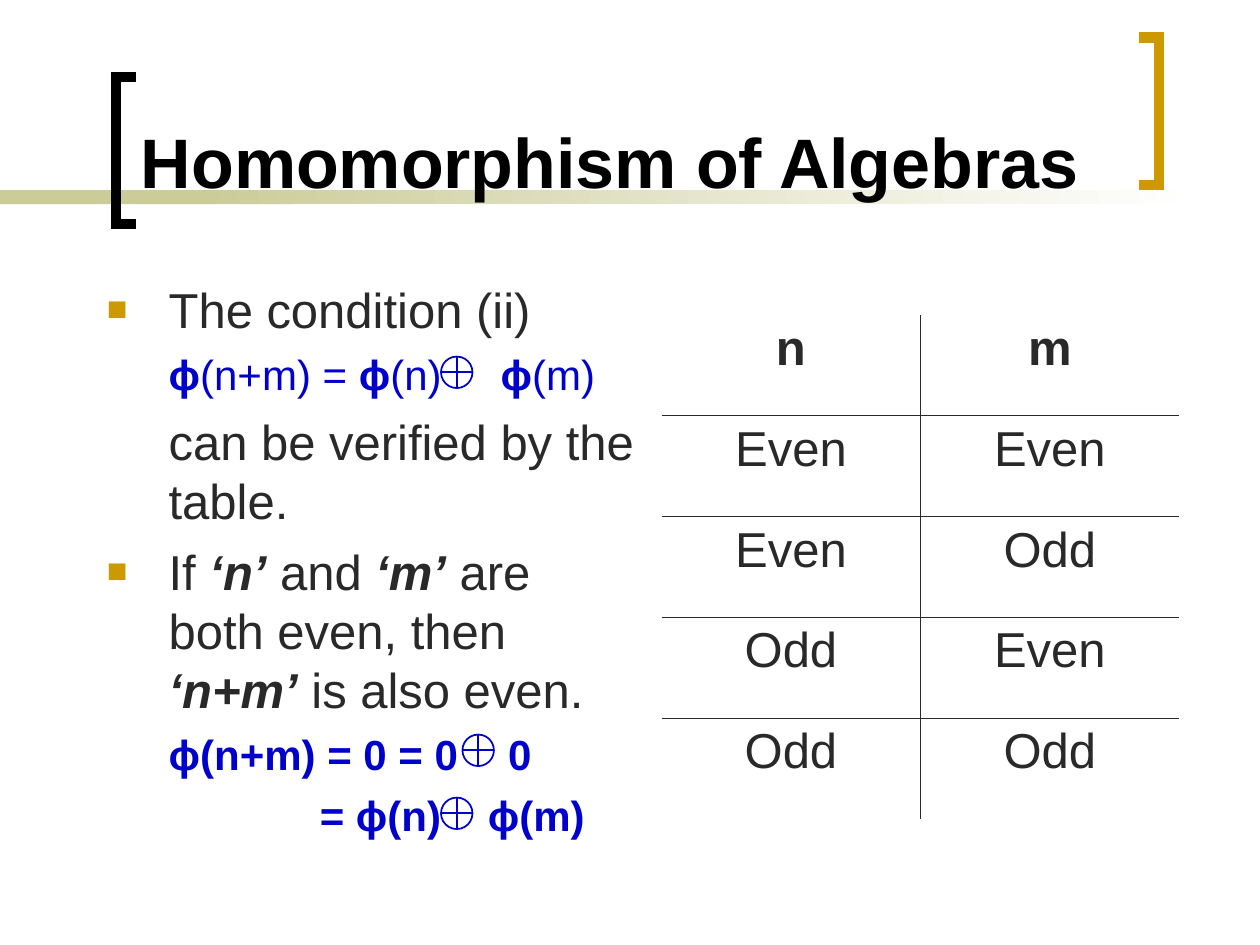
from lxml.etree import SubElement
from pptx import Presentation
from pptx.dml.color import RGBColor
from pptx.enum.shapes import MSO_SHAPE
from pptx.enum.text import MSO_ANCHOR, PP_ALIGN
from pptx.oxml.ns import qn
from pptx.util import Inches, Pt

THEME = {
    "font": "Arial",
    "black": "000000", "text": "292929", "blue": "0000CC",
    "gold": "CC9900", "olive": "CCCC99", "white": "FFFFFF",
    "title": 40, "body": 28, "formula": 24,
    "rule": 0.45, "bracket": 6, "symbol": 1,
}
TITLE = "Homomorphism of Algebras"
INDENT = 0.49
BODY = [
    {"kind": "bullet", "runs": [("The condition (ii)", "")]},
    {"kind": "formula", "gap": 27,
     "runs": [("ϕ", "b"), ("(n+m) = ", ""), ("ϕ", "b"), ("(n)", ""),
              (" ", "gap"), ("ϕ", "b"), ("(m)", "")]},
    {"kind": "plain", "runs": [("can be verified by the table.", "")]},
    {"kind": "bullet",
     "runs": [("If ", ""), ("‘n’", "bold italic"), (" and ", ""), ("‘m’", "bold italic"),
              (" are both even, then ", ""), ("‘n+m’", "bold italic"), (" is also even.", "")]},
    {"kind": "formula", "gap": 22,
     "runs": [("ϕ(n+m) = 0 = 0", "b"), (" ", "gap"), ("0", "b")]},
    {"kind": "formula", "gap": 20, "left": 1.69,
     "runs": [("= ϕ(n)", "b"), (" ", "gap"), ("ϕ(m)", "b")]},
]
PARITY = [("n", "m"), ("Even", "Even"), ("Even", "Odd"), ("Odd", "Even"), ("Odd", "Odd")]
TABLE_BOX = (5.25, 2.5, 4.11, 4)
BRACKETS = [
    ("black", [(1.08, 1.78), (0.92, 1.78), (0.92, 0.61), (1.08, 0.61)]),
    ("gold", [(9.04, 0.3), (9.2, 0.3), (9.2, 1.47), (9.04, 1.47)]),
]
CIRCLED_PLUSES = [(3.67, 5.83), (3.5, 2.83), (3.5, 6.33)]


def color(name):
    """Return a theme colour."""
    return RGBColor.from_string(THEME[name])


def style(run, size, ink, flags=""):
    """Format one run."""
    font = run.font
    font.name, font.size = THEME["font"], Pt(THEME[size])
    font.color.rgb = color(ink)
    font.bold, font.italic = "b" in flags, "italic" in flags


def add_band(slide):
    """Draw the horizontal band that fades to the right."""
    for left, width in ((0, 2.33), (1.58, 7.92)):
        shape = slide.shapes.add_shape(
            MSO_SHAPE.RECTANGLE, Inches(left), Inches(1.51), Inches(width), Inches(0.11))
        shape.shadow.inherit = False
        shape.line.fill.background()
        if left == 0:
            shape.fill.solid()
            shape.fill.fore_color.rgb = color("olive")
        else:
            shape.fill.gradient()
            shape.fill.gradient_angle = 0
            for stop, name in zip(shape.fill.gradient_stops, ("olive", "white")):
                stop.color.rgb = color(name)


def add_bracket(slide, ink, points):
    """Draw one open square bracket."""
    corners = [(Inches(x), Inches(y)) for x, y in points]
    builder = slide.shapes.build_freeform(*corners[0])
    builder.add_line_segments(corners[1:], close=False)
    shape = builder.convert_to_shape()
    shape.shadow.inherit = False
    shape.fill.background()
    shape.line.color.rgb = color(ink)
    shape.line.width = Pt(THEME["bracket"])
    SubElement(shape.line._get_or_add_ln(), qn("a:miter"), lim="800000")


def add_text_frame(slide, box):
    """Add a wrapping text box and return its frame."""
    frame = slide.shapes.add_textbox(*map(Inches, box)).text_frame
    frame.word_wrap = True
    return frame


def add_title(slide):
    """Write the heading on the band."""
    frame = add_text_frame(slide, (1.02, 0.11, 7.83, 1.55))
    frame.vertical_anchor = MSO_ANCHOR.BOTTOM
    frame.text = TITLE
    style(frame.paragraphs[0].runs[0], "title", "black", "b")


def add_body(slide):
    """Write the bulleted text and its formulas, leaving gaps for the operators."""
    frame = add_text_frame(slide, (0.75, 2.17, 4.39, 4.83))
    for index, item in enumerate(BODY):
        paragraph = frame.add_paragraph() if index else frame.paragraphs[0]
        formula = item["kind"] == "formula"
        paragraph.space_before = Pt(6 if formula else 7)
        for text, flags in item["runs"]:
            run = paragraph.add_run()
            run.text = text
            style(run, "formula" if formula else "body", "blue" if formula else "text", flags)
            if flags == "gap":
                run.font._element.set("spc", str(item["gap"] * 100))
        properties = paragraph._p.get_or_add_pPr()
        bullet = item["kind"] == "bullet"
        properties.set("marL", str(Inches(item.get("left", INDENT))))
        properties.set("indent", str(-Inches(INDENT) if bullet else 0))
        if bullet:
            SubElement(SubElement(properties, qn("a:buClr")), qn("a:srgbClr"), val=THEME["gold"])
            SubElement(properties, qn("a:buSzPct"), val="70000")
            SubElement(properties, qn("a:buFont"), typeface=THEME["font"])
            SubElement(properties, qn("a:buChar"), char="■")
        else:
            SubElement(properties, qn("a:buNone"))


def add_circled_plus(slide, left, top):
    """Draw the circled plus operator."""
    shape = slide.shapes.add_shape(
        MSO_SHAPE.FLOWCHART_OR, Inches(left), Inches(top), Inches(0.25), Inches(0.25))
    shape.shadow.inherit = False
    shape.fill.solid()
    shape.fill.fore_color.rgb = color("white")
    shape.line.color.rgb = color("blue")
    shape.line.width = Pt(THEME["symbol"])


def set_borders(cell, visible):
    """Rule the inner sides of a cell and clear the outer ones."""
    properties = cell._tc.get_or_add_tcPr()
    for side, shown in visible.items():
        line = SubElement(properties, qn(f"a:{side}"), w=str(Pt(THEME["rule"])))
        if shown:
            SubElement(SubElement(line, qn("a:solidFill")), qn("a:srgbClr"), val=THEME["text"])
        else:
            SubElement(line, qn("a:noFill"))


def add_parity_table(slide):
    """Build the table of even and odd cases."""
    rows, columns = len(PARITY), len(PARITY[0])
    table = slide.shapes.add_table(rows, columns, *map(Inches, TABLE_BOX)).table
    table.first_row = table.horz_banding = False
    for row, values in enumerate(PARITY):
        for column, value in enumerate(values):
            cell = table.cell(row, column)
            cell.text = value
            paragraph = cell.text_frame.paragraphs[0]
            paragraph.alignment = PP_ALIGN.CENTER
            paragraph.space_before = Pt(7)
            style(paragraph.runs[0], "body", "text", "" if row else "b")
            set_borders(cell, {"lnL": column > 0, "lnR": column < columns - 1,
                               "lnT": row > 0, "lnB": row < rows - 1})
            cell.fill.background()


def main():
    """Build the slide and save it."""
    presentation = Presentation()
    presentation.slide_width, presentation.slide_height = Inches(10), Inches(7.5)
    slide = presentation.slides.add_slide(presentation.slide_layouts[6])
    add_band(slide)
    for ink, points in BRACKETS:
        add_bracket(slide, ink, points)
    add_title(slide)
    add_body(slide)
    add_parity_table(slide)
    for left, top in CIRCLED_PLUSES:
        add_circled_plus(slide, left, top)
    presentation.save("out.pptx")


if __name__ == "__main__":
    main()
